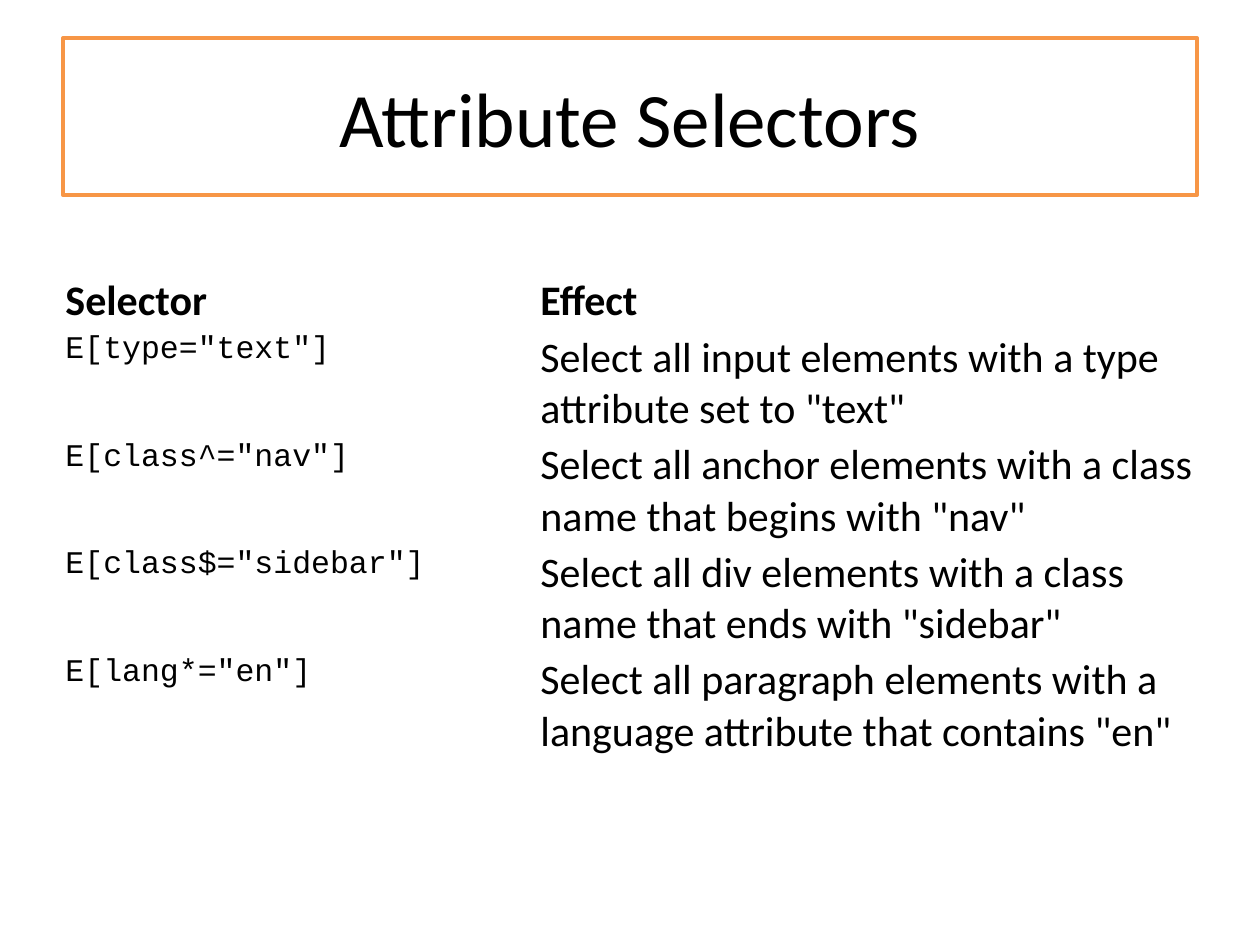
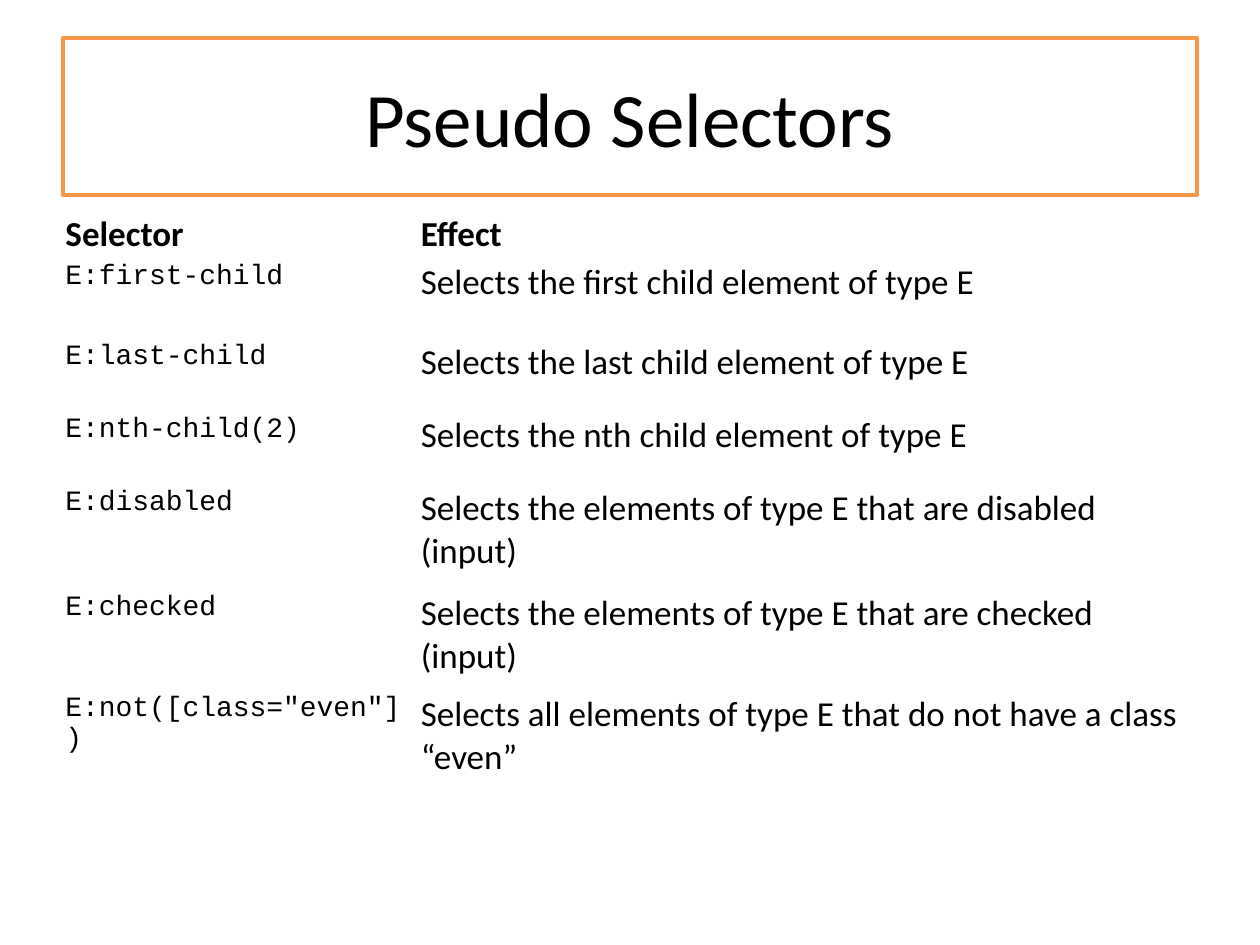
from pptx import Presentation
from pptx.dml.color import RGBColor
from pptx.enum.shapes import MSO_SHAPE
from pptx.enum.text import MSO_ANCHOR, PP_ALIGN
from pptx.util import Inches, Pt

BLACK = RGBColor(0x00, 0x00, 0x00)
WHITE = RGBColor(0xFF, 0xFF, 0xFF)
ORANGE = RGBColor(0xF7, 0x96, 0x46)
BODY_FONT = "Calibri"
CODE_FONT = "Courier New"
TITLE_BOX = (0.5, 0.3, 9, 1.25)
CELL_MARGIN = Inches(0.02)
HEADINGS = ("Selector", "Effect")


def write_text(frame, text, size, font=BODY_FONT, bold=False, align=PP_ALIGN.LEFT):
    para = frame.paragraphs[0]
    para.alignment = align
    span = para.add_run()
    span.text = text
    span.font.name = font
    span.font.size = Pt(size)
    span.font.bold = bold
    span.font.color.rgb = BLACK


def add_title(page, box, text):
    """Outlined title band."""
    band = page.shapes.add_shape(MSO_SHAPE.RECTANGLE, *map(Inches, box))
    band.shadow.inherit = False
    band.fill.solid()
    band.fill.fore_color.rgb = WHITE
    band.line.color.rgb = ORANGE
    band.line.width = Pt(2)
    band.text_frame.word_wrap = True
    band.text_frame.vertical_anchor = MSO_ANCHOR.MIDDLE
    write_text(band.text_frame, text, 44, align=PP_ALIGN.CENTER)


def add_selector_table(page, box, entries, code_width, heights, text_size, code_size):
    """Two plain columns: selectors in code type, effects in body type."""
    rows = [HEADINGS, *entries]
    table = page.shapes.add_table(len(rows), 2, *map(Inches, box)).table
    table.first_row = False
    table.horz_banding = False
    table.columns[0].width = Inches(code_width)
    table.columns[1].width = Inches(box[2] - code_width)

    for row_index, (texts, height) in enumerate(zip(rows, heights)):
        table.rows[row_index].height = Inches(height)
        is_heading = row_index == 0
        for column_index, text in enumerate(texts):
            cell = table.cell(row_index, column_index)
            cell.fill.background()
            cell.margin_left = cell.margin_right = CELL_MARGIN
            cell.margin_top = cell.margin_bottom = CELL_MARGIN
            is_code = column_index == 0 and not is_heading
            write_text(cell.text_frame, text,
                       size=code_size if is_code else text_size,
                       font=CODE_FONT if is_code else BODY_FONT,
                       bold=is_heading)


def add_selector_page(deck, title, **table_format):
    page = deck.slides.add_slide(deck.slide_layouts[6])
    add_title(page, TITLE_BOX, title)
    add_selector_table(page, **table_format)


ATTRIBUTE_SELECTORS = [
    ('E[type="text"]', 'Select all input elements with a type attribute set to "text"'),
    ('E[class^="nav"]', 'Select all anchor elements with a class name that begins with "nav"'),
    ('E[class$="sidebar"]', 'Select all div elements with a class name that ends with "sidebar"'),
    ('E[lang*="en"]', 'Select all paragraph elements with a language attribute that contains "en"'),
]
PSEUDO_SELECTORS = [
    ("E:first-child", "Selects the first child element of type E"),
    ("E:last-child", "Selects the last child element of type E"),
    ("E:nth-child(2)", "Selects the nth child element of type E"),
    ("E:disabled", "Selects the elements of type E that are disabled (input)"),
    ("E:checked", "Selects the elements of type E that are checked (input)"),
    ('E:not([class="even"])', "Selects all elements of type E that do not have a class “even”"),
]

deck = Presentation()
deck.slide_width = Inches(10)
deck.slide_height = Inches(7.5)

add_selector_page(deck, "Attribute Selectors", box=(0.5, 2.17, 9, 3.81),
                  entries=ATTRIBUTE_SELECTORS, code_width=3.77,
                  heights=[0.45] + [0.84] * 4, text_size=24, code_size=18)
add_selector_page(deck, "Pseudo Selectors", box=(0.5, 1.67, 9, 4.51),
                  entries=PSEUDO_SELECTORS, code_width=2.82,
                  heights=[0.37, 0.64, 0.58, 0.58, 0.83, 0.8, 0.71],
                  text_size=20, code_size=16)

deck.save("out.pptx")
